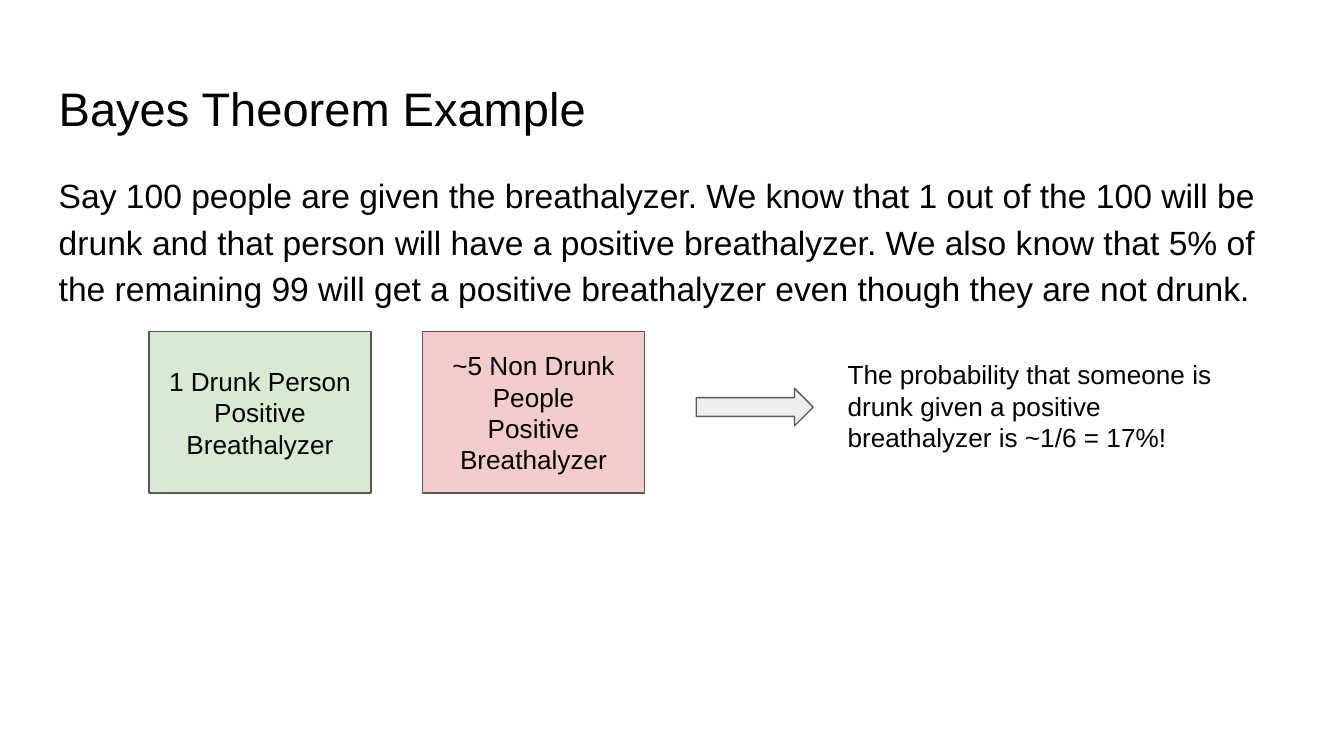
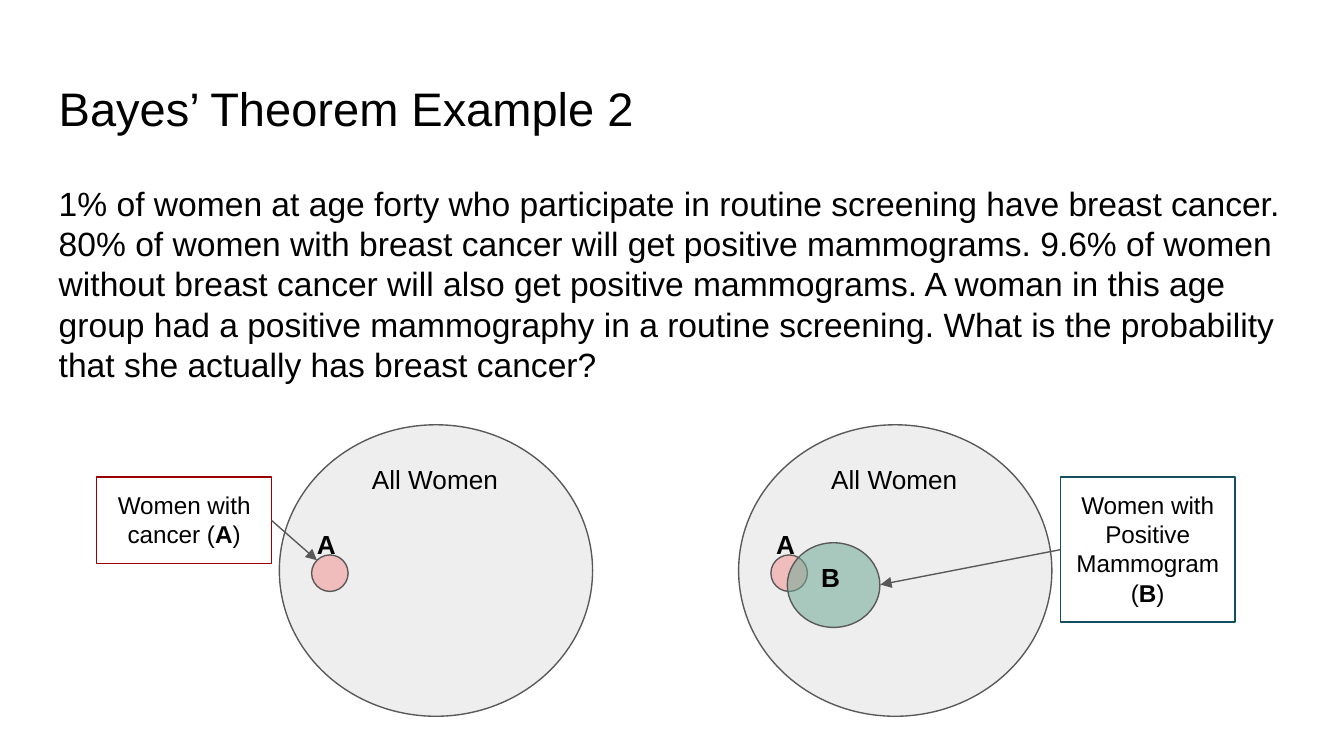
from dataclasses import dataclass
from typing import Optional

from lxml.etree import SubElement
from pptx import Presentation
from pptx.dml.color import RGBColor
from pptx.enum.shapes import MSO_CONNECTOR as Link, MSO_SHAPE as Geo
from pptx.enum.text import MSO_ANCHOR as Anchor, MSO_AUTO_SIZE as Fit, PP_ALIGN as Align
from pptx.oxml.ns import qn
from pptx.util import Cm, Pt


@dataclass(frozen=True)
class Theme:
    font: str = "Arial"
    ink: str = "000000"
    outline: str = "595959"
    neutral: str = "EEEEEE"
    drunk: str = "D9EAD3"
    sober: str = "F4CCCC"
    cancer: str = "F67979"
    positive: str = "73AB97"
    cancer_edge: str = "990000"
    positive_edge: str = "134F5C"
    title: float = 25.2
    body: float = 18
    label: float = 14
    callout: float = 13
    line: float = 0.75
    inset: float = 0.25


THEME = Theme()


@dataclass(frozen=True)
class Area:
    """Left, top, width and height in centimetres."""
    left: float
    top: float
    width: float
    height: float

    def within(self, parent: "Area") -> "Area":
        return Area(parent.left + self.left, parent.top + self.top, self.width, self.height)

    def lengths(self) -> tuple:
        return Cm(self.left), Cm(self.top), Cm(self.width), Cm(self.height)


@dataclass(frozen=True)
class Words:
    text: str
    bold: bool = False


@dataclass(frozen=True)
class Figure:
    geometry: Geo
    area: Area
    fill: Optional[str] = None
    opacity: int = 100
    edge: str = THEME.outline


@dataclass(frozen=True)
class Outcome:
    lines: tuple
    fill: str


@dataclass(frozen=True)
class Callout:
    area: Area
    words: tuple
    edge: str
    side: int  # connection site: 1 left, 3 right
    start: tuple
    target: tuple


# Shared positions
TITLE_AREA = Area(0.86, 1.25, 23.67, 1.6)
BODY_WIDTH, BODY_HEIGHT = 23.67, 9.5

# Breathalyzer row: two outcomes and the arrow share one pitch
OUTCOME_AREA = Area(2.82, 6.27, 4.19, 3.05)
OUTCOME_PITCH = 5.17
OUTCOMES = (
    Outcome(("1 Drunk Person", "Positive Breathalyzer"), THEME.drunk),
    Outcome(("~5 Non Drunk People", "Positive Breathalyzer"), THEME.sober),
)

# Venn diagrams: the inner parts are placed relative to the universe
UNIVERSE = Area(5.28, 8.03, 5.92, 5.51)
VENN_PITCH = 8.68
UNIVERSE_LABEL = Area(1.5, 0.48, 2.97, 1.12)
CANCER_SET = Area(0.61, 2.46, 0.69, 0.69)
CANCER_LABEL = Area(0.46, 1.7, 0.69, 1.12)
POSITIVE_SET = Area(0.92, 2.23, 1.75, 1.6)
POSITIVE_LABEL = Area(1.31, 2.33, 0.69, 1.12)
CALLOUTS = (
    Callout(Area(1.83, 9.02, 3.3, 1.63),
            (Words("Women with cancer ("), Words("A", True), Words(")")),
            THEME.cancer_edge, 3, (5.13, 9.83), (5.99, 10.59)),
    Callout(Area(20.04, 9.02, 3.3, 2.74),
            (Words("Women with Positive Mammogram ("), Words("B", True), Words(")")),
            THEME.positive_edge, 1, (20.04, 10.39), (16.64, 11.05)),
)


def color(value: str) -> RGBColor:
    return RGBColor.from_string(value)


def write(shape, paragraphs: tuple, size: float, align=Align.LEFT, anchor=Anchor.TOP,
          spacing: float = 1.0, after: float = 0) -> None:
    """Fill a shape; each paragraph is a tuple of Words."""
    frame = shape.text_frame
    frame.word_wrap = True
    frame.auto_size = Fit.NONE
    frame.vertical_anchor = anchor
    frame.margin_left = frame.margin_right = Cm(THEME.inset)
    frame.margin_top = frame.margin_bottom = Cm(THEME.inset)
    for index, words in enumerate(paragraphs):
        paragraph = frame.paragraphs[0] if index == 0 else frame.add_paragraph()
        paragraph.alignment = align
        paragraph.line_spacing = spacing
        paragraph.space_before = Pt(0)
        paragraph.space_after = Pt(after)
        for part in words:
            run = paragraph.add_run()
            run.text = part.text
            run.font.name = THEME.font
            run.font.size = Pt(size)
            run.font.bold = part.bold
            run.font.color.rgb = color(THEME.ink)


def place(shape, area: Area) -> None:
    shape.left, shape.top, shape.width, shape.height = area.lengths()


def draw(slide, figure: Figure):
    shape = slide.shapes.add_shape(figure.geometry, *figure.area.lengths())
    shape.shadow.inherit = False
    if figure.fill is None:
        shape.fill.background()
    else:
        shape.fill.solid()
        shape.fill.fore_color.rgb = color(figure.fill)
        if figure.opacity < 100:
            tint = shape.fill._xPr.find(".//" + qn("a:srgbClr"))
            SubElement(tint, qn("a:alpha"), val=str(figure.opacity * 1000))
    shape.line.color.rgb = color(figure.edge)
    shape.line.width = Pt(THEME.line)
    return shape


def label(slide, area: Area, text: str, bold: bool = False) -> None:
    box = slide.shapes.add_textbox(*area.lengths())
    write(box, ((Words(text, bold),),), THEME.label)


def add_slide(deck, title: str, lines: tuple, body_top: float,
              spacing: float = 1.0, after: float = 0):
    slide = deck.slides.add_slide(deck.slide_layouts[1])
    heading, body = slide.shapes.title, slide.placeholders[1]
    place(heading, TITLE_AREA)
    write(heading, ((Words(title),),), THEME.title)
    place(body, Area(TITLE_AREA.left, body_top, BODY_WIDTH, BODY_HEIGHT))
    write(body, tuple((Words(line),) for line in lines), THEME.body,
          spacing=spacing, after=after)
    # Plain body text without bullets
    for paragraph in body.text_frame.paragraphs:
        properties = paragraph._p.get_or_add_pPr()
        properties.set("marL", "0")
        properties.set("indent", "0")
        SubElement(properties, qn("a:buNone"))
    return slide


def point(slide, callout: Callout, box) -> None:
    """Arrow from a callout to the set that it explains."""
    arrow = slide.shapes.add_connector(
        Link.STRAIGHT, *(Cm(value) for value in callout.start + callout.target))
    arrow.begin_connect(box, callout.side)
    arrow.line.color.rgb = color(THEME.outline)
    arrow.line.width = Pt(THEME.line)
    SubElement(arrow.line._get_or_add_ln(), qn("a:tailEnd"), type="triangle")
    SubElement(arrow._element.spPr, qn("a:effectLst"))


def draw_venn(slide, universe: Area, with_positive: bool) -> None:
    draw(slide, Figure(Geo.OVAL, universe, THEME.neutral))
    draw(slide, Figure(Geo.OVAL, CANCER_SET.within(universe), THEME.cancer, 42))
    label(slide, UNIVERSE_LABEL.within(universe), "All Women")
    if with_positive:
        draw(slide, Figure(Geo.OVAL, POSITIVE_SET.within(universe), THEME.positive, 56))
        label(slide, POSITIVE_LABEL.within(universe), "B", True)
    label(slide, CANCER_LABEL.within(universe), "A", True)


def breathalyzer_slide(deck) -> None:
    slide = add_slide(deck, "Bayes Theorem Example", (
        "Say 100 people are given the breathalyzer. We know that 1 out of the 100 will be "
        "drunk and that person will have a positive breathalyzer. We also know that 5% of "
        "the remaining 99 will get a positive breathalyzer even though they are not drunk.",
    ), body_top=2.95, spacing=1.15, after=12)
    for index, outcome in enumerate(OUTCOMES):
        area = Area(index * OUTCOME_PITCH, 0, OUTCOME_AREA.width,
                    OUTCOME_AREA.height).within(OUTCOME_AREA)
        box = draw(slide, Figure(Geo.RECTANGLE, area, outcome.fill))
        write(box, tuple((Words(line),) for line in outcome.lines), THEME.label,
              Align.CENTER, Anchor.MIDDLE)
    arrow_left = OUTCOME_AREA.left + len(OUTCOMES) * OUTCOME_PITCH
    draw(slide, Figure(Geo.RIGHT_ARROW, Area(arrow_left, 7.34, 2.21, 0.71), THEME.neutral))
    label(slide, Area(15.77, 6.53, 7.77, 2.31),
          "The probability that someone is drunk given a positive breathalyzer is ~1/6 = 17%!")


def mammogram_slide(deck) -> None:
    slide = add_slide(deck, "Bayes’ Theorem Example 2", (
        "1% of women at age forty who participate in routine screening have breast cancer.",
        "80% of women with breast cancer will get positive mammograms. 9.6% of women",
        "without breast cancer will also get positive mammograms. A woman in this age",
        "group had a positive mammography in a routine screening. What is the probability",
        "that she actually has breast cancer?",
    ), body_top=3.2)
    for index, callout in enumerate(CALLOUTS):
        universe = Area(index * VENN_PITCH, 0, UNIVERSE.width, UNIVERSE.height).within(UNIVERSE)
        draw_venn(slide, universe, with_positive=index == 1)
        box = draw(slide, Figure(Geo.RECTANGLE, callout.area, edge=callout.edge))
        write(box, (callout.words,), THEME.callout, Align.CENTER)
        point(slide, callout, box)


def main() -> None:
    deck = Presentation()
    deck.slide_width, deck.slide_height = Cm(25.4), Cm(14.29)
    breathalyzer_slide(deck)
    mammogram_slide(deck)
    deck.save("out.pptx")


if __name__ == "__main__":
    main()
